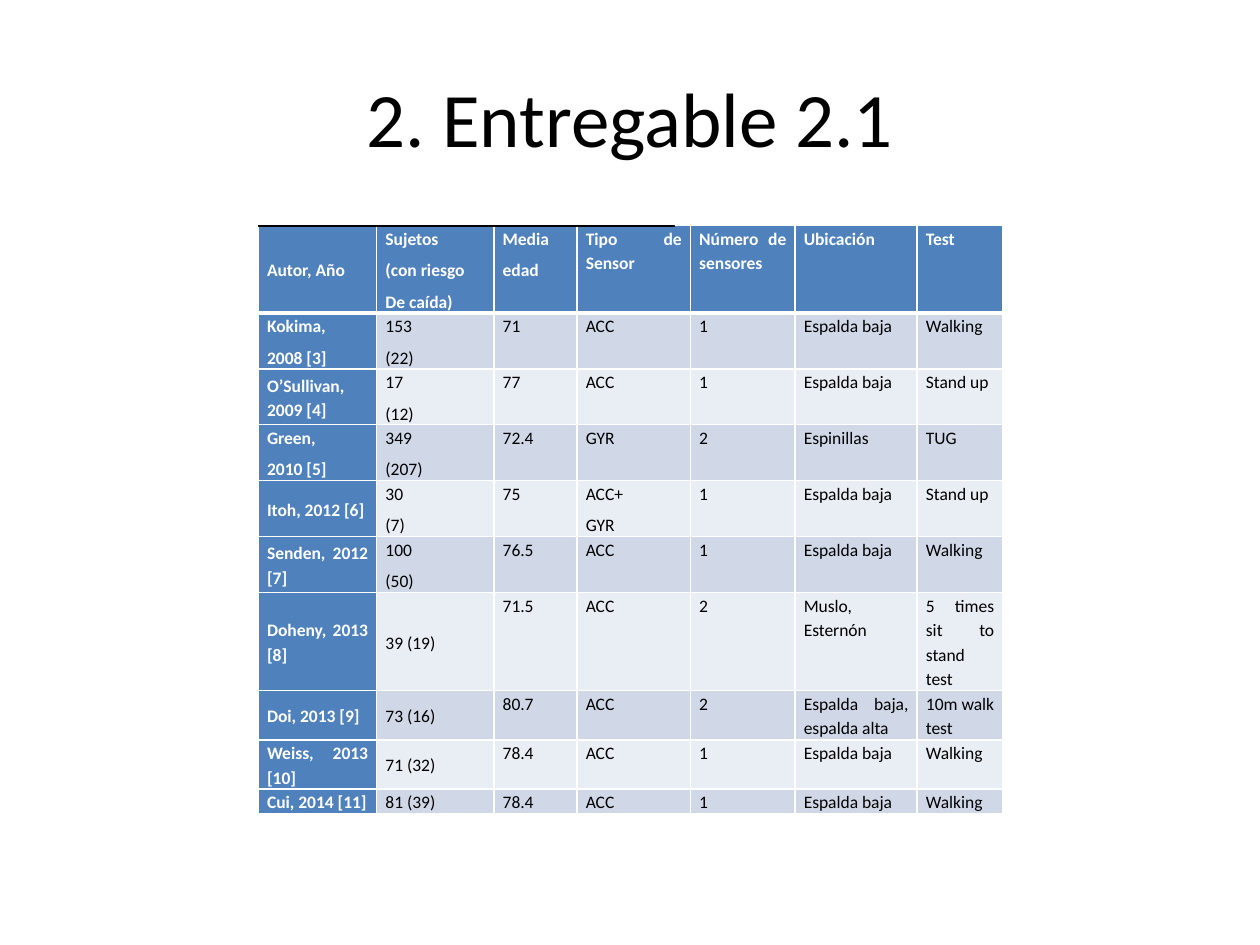
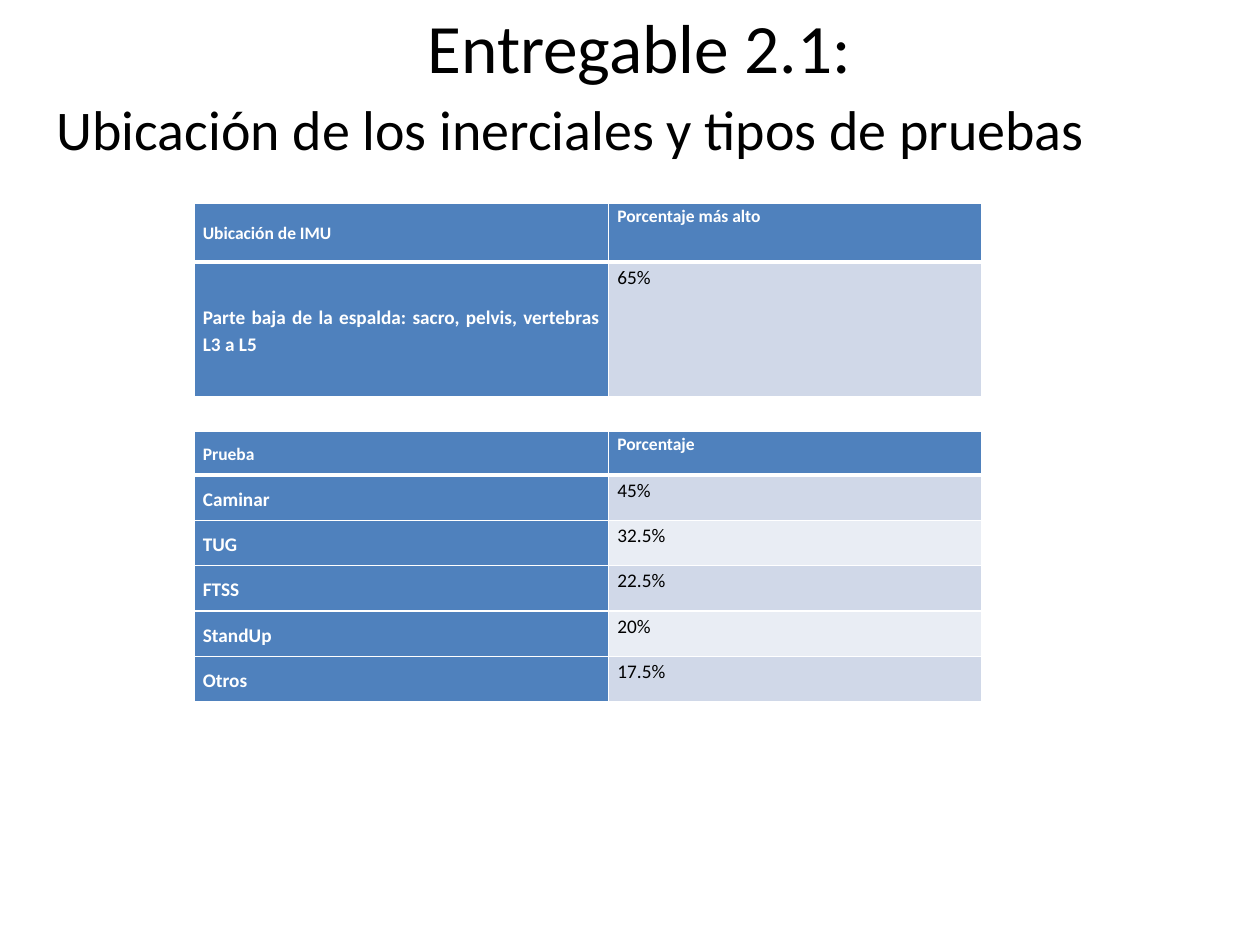
from dataclasses import dataclass

from lxml.etree import SubElement
from pptx import Presentation
from pptx.dml.color import RGBColor
from pptx.enum.shapes import MSO_SHAPE as Shape
from pptx.enum.text import MSO_ANCHOR as Anchor, MSO_AUTO_SIZE as AutoSize, PP_ALIGN as Align
from pptx.oxml.ns import qn
from pptx.util import Inches, Pt


@dataclass(frozen=True)
class Theme:
    font: str = "Calibri"
    black: str = "000000"
    white: str = "FFFFFF"
    header: str = "4F81BD"
    bands: tuple = ("D0D8E8", "E9EDF4")
    title: float = 44
    small_title: float = 39.6
    subtitle: float = 32
    table: float = 10
    large_table: float = 11
    line_spacing: float = 1.15
    paragraph_gap: float = 2
    border: float = 1
    header_border: float = 3


THEME = Theme()
TITLE_ONLY = 5

STUDY_COLUMNS = (0.94, 0.93, 0.66, 0.9, 0.83, 0.97, 0.68)
STUDY_HEIGHTS = (0.69, *[0.44] * 5, 0.78, 0.39, 0.39, 0.19)
STUDIES = (
    ("Autor, Año", "Sujetos\n(con riesgo\nDe caída)", "Media\nedad", "Tipo de Sensor",
     "Número de sensores", "Ubicación", "Test"),
    ("Kokima,\n2008 [3]", "153\n(22)", "71", "ACC", "1", "Espalda baja", "Walking"),
    ("O’Sullivan, 2009 [4]", "17\n(12)", "77", "ACC", "1", "Espalda baja", "Stand up"),
    ("Green,\n2010 [5]", "349\n(207)", "72.4", "GYR", "2", "Espinillas", "TUG"),
    ("Itoh, 2012 [6]", "30\n(7)", "75", "ACC+\nGYR", "1", "Espalda baja", "Stand up"),
    ("Senden, 2012 [7]", "100\n(50)", "76.5", "ACC", "1", "Espalda baja", "Walking"),
    ("Doheny, 2013 [8]", "39 (19)", "71.5", "ACC", "2", "Muslo, Esternón",
     "5 times sit to stand test"),
    ("Doi, 2013 [9]", "73 (16)", "80.7", "ACC", "2", "Espalda baja, espalda alta",
     "10m walk test"),
    ("Weiss, 2013 [10]", "71 (32)", "78.4", "ACC", "1", "Espalda baja", "Walking"),
    ("Cui, 2014 [11]", "81 (39)", "78.4", "ACC", "1", "Espalda baja", "Walking"),
)

PERCENT_COLUMNS = (3.29, 2.96)
LOCATIONS = (
    ("Ubicación de IMU", "Porcentaje más alto"),
    ("Parte baja de la espalda: sacro, pelvis, vertebras L3 a L5", "65%"),
)
TESTS = (
    ("Prueba", "Porcentaje"),
    ("Caminar", "45%"),
    ("TUG", "32.5%"),
    ("FTSS", "22.5%"),
    ("StandUp", "20%"),
    ("Otros", "17.5%"),
)


def color(value):
    return RGBColor.from_string(value)


def add_run(paragraph, text, size, text_color=THEME.black, bold=False):
    run = paragraph.add_run()
    run.text = text
    run.font.name = THEME.font
    run.font.size = Pt(size)
    run.font.bold = bold
    run.font.color.rgb = color(text_color)


def add_title_slide(presentation, title, box, size):
    slide = presentation.slides.add_slide(presentation.slide_layouts[TITLE_ONLY])
    shape = slide.shapes.title
    shape.left, shape.top, shape.width, shape.height = map(Inches, box)
    frame = shape.text_frame
    frame.auto_size = AutoSize.NONE
    frame.vertical_anchor = Anchor.MIDDLE
    paragraph = frame.paragraphs[0]
    paragraph.alignment = Align.CENTER
    add_run(paragraph, title, size)
    return slide


def set_borders(cell, **widths):
    properties = cell._tc.get_or_add_tcPr()
    for side in "LRTB":
        width = widths.get(side, THEME.border)
        line = SubElement(properties, qn(f"a:ln{side}"), w=str(Pt(width)))
        fill = SubElement(line, qn("a:solidFill"))
        SubElement(fill, qn("a:srgbClr"), val=THEME.white)


def fill_cell(cell, text, fill, text_color, bold, size, gap, anchor):
    cell.fill.solid()
    cell.fill.fore_color.rgb = color(fill)
    cell.margin_left = cell.margin_right = Inches(0.07)
    cell.margin_top = cell.margin_bottom = 0
    cell.vertical_anchor = anchor
    frame = cell.text_frame
    for index, line in enumerate(text.split("\n")):
        paragraph = frame.add_paragraph() if index else frame.paragraphs[0]
        paragraph.alignment = Align.JUSTIFY
        paragraph.line_spacing = THEME.line_spacing
        paragraph.space_before = paragraph.space_after = Pt(gap)
        add_run(paragraph, line, size, text_color, bold)


def add_banded_table(slide, left, top, rows, columns, heights, middle_columns=1,
                     body_size=THEME.table, body_gap=THEME.paragraph_gap):
    """Add a table with a coloured header row and first column, and banded rows."""
    frame = slide.shapes.add_table(len(rows), len(columns), Inches(left), Inches(top),
                                   Inches(sum(columns)), Inches(sum(heights)))
    table = frame.table
    for column, width in zip(table.columns, columns):
        column.width = Inches(width)
    for row_index, (row, height) in enumerate(zip(rows, heights)):
        table.rows[row_index].height = Inches(height)
        is_header = row_index == 0
        size, gap = (THEME.table, THEME.paragraph_gap) if is_header else (body_size, body_gap)
        borders = {0: {"B": THEME.header_border}, 1: {"T": THEME.header_border}}
        for column_index, text in enumerate(row):
            cell = table.cell(row_index, column_index)
            set_borders(cell, **borders.get(row_index, {}))
            strong = is_header or column_index == 0
            fill = THEME.header if strong else THEME.bands[(row_index - 1) % 2]
            text_color = THEME.white if strong else THEME.black
            anchor = Anchor.MIDDLE if column_index < middle_columns else Anchor.TOP
            fill_cell(cell, text, fill, text_color, strong, size, gap, anchor)


def add_rule(slide, left, top, width):
    rule = slide.shapes.add_shape(Shape.RECTANGLE, Inches(left), Inches(top),
                                  Inches(width), Inches(0.01))
    rule.shadow.inherit = False
    rule.fill.solid()
    rule.fill.fore_color.rgb = color(THEME.black)
    rule.line.color.rgb = color(THEME.black)
    rule.line.width = Pt(0.75)


def add_subtitle(slide, text, box):
    frame = slide.shapes.add_textbox(*map(Inches, box)).text_frame
    frame.word_wrap = True
    add_run(frame.paragraphs[0], text, THEME.subtitle)


def build_studies_slide(presentation):
    slide = add_title_slide(presentation, "2. Entregable 2.1", (0.5, 0.3, 9, 1.25), THEME.title)
    left, top = 2.05, 1.79
    add_banded_table(slide, left, top, STUDIES, STUDY_COLUMNS, STUDY_HEIGHTS, middle_columns=2)
    add_rule(slide, left, top, 3.3)


def build_percentages_slide(presentation):
    slide = add_title_slide(presentation, "Entregable 2.1:", (0.5, 0.13, 9.15, 0.47),
                            THEME.small_title)
    left = 1.54
    body = {"body_size": THEME.large_table, "body_gap": 0}
    add_banded_table(slide, left, 1.61, LOCATIONS, PERCENT_COLUMNS, (0.47, 1.07), **body)
    add_banded_table(slide, left, 3.42, TESTS, PERCENT_COLUMNS, (0.35, *[0.36] * 5), **body)
    add_subtitle(slide, "Ubicación de los inerciales y tipos de pruebas",
                 (0.35, 0.7, 8.66, 0.64))


def main():
    presentation = Presentation()
    presentation.slide_width = Inches(10)
    presentation.slide_height = Inches(7.5)
    build_studies_slide(presentation)
    build_percentages_slide(presentation)
    presentation.save("out.pptx")


if __name__ == "__main__":
    main()
